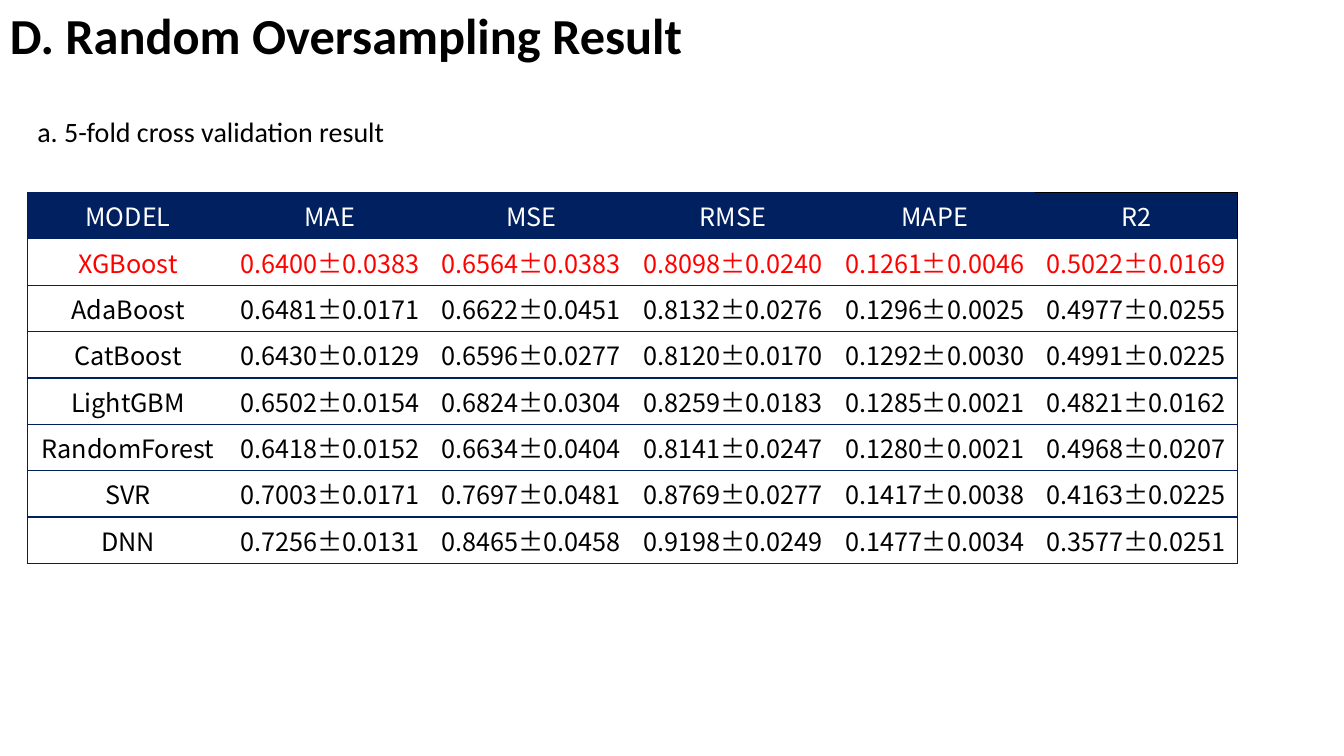
"""Builds the slide with the random oversampling results."""
import pptx
import pptx.dml.color
import pptx.enum.text
import pptx.oxml
import pptx.oxml.ns
import pptx.util

RGBColor = pptx.dml.color.RGBColor
BLACK = RGBColor(0x00, 0x00, 0x00)
WHITE = RGBColor(0xFF, 0xFF, 0xFF)
RED = RGBColor(0xFF, 0x00, 0x00)
NAVY = RGBColor(0x00, 0x20, 0x60)

EMU_PER_PX = 9144
SLIDE_SIZE = (1333, 750)
HEADING_BOX = (0, 0, 830, 75)
SUBTITLE_BOX = (27, 107, 1200, 51)
TABLE_BOX = (27, 191, 1200, 368)
PLAIN_STYLE = "{2D5ABB26-0587-4C30-8999-92F81FD0307C}"

HEADING_FORMAT = {"name": "Calibri", "size": pptx.util.Pt(36), "bold": True}
SUBTITLE_FORMAT = {"name": "Calibri", "size": pptx.util.Pt(20), "bold": False}
CELL_FORMAT = {"name": "Noto Sans CJK KR", "size": pptx.util.Pt(18), "bold": False}

SCORES = [
    ("MODEL", "MAE", "MSE", "RMSE", "MAPE", "R2"),
    ("XGBoost", "0.6400±0.0383", "0.6564±0.0383", "0.8098±0.0240", "0.1261±0.0046", "0.5022±0.0169"),
    ("AdaBoost", "0.6481±0.0171", "0.6622±0.0451", "0.8132±0.0276", "0.1296±0.0025", "0.4977±0.0255"),
    ("CatBoost", "0.6430±0.0129", "0.6596±0.0277", "0.8120±0.0170", "0.1292±0.0030", "0.4991±0.0225"),
    ("LightGBM", "0.6502±0.0154", "0.6824±0.0304", "0.8259±0.0183", "0.1285±0.0021", "0.4821±0.0162"),
    ("RandomForest", "0.6418±0.0152", "0.6634±0.0404", "0.8141±0.0247", "0.1280±0.0021", "0.4968±0.0207"),
    ("SVR", "0.7003±0.0171", "0.7697±0.0481", "0.8769±0.0277", "0.1417±0.0038", "0.4163±0.0225"),
    ("DNN", "0.7256±0.0131", "0.8465±0.0458", "0.9198±0.0249", "0.1477±0.0034", "0.3577±0.0251"),
]


def px(length):
    """Turn px into EMU."""
    return pptx.util.Emu(length * EMU_PER_PX)


def write(frame, wording, color, formats, align, line_spacing):
    """Write one formatted, vertically centred paragraph and return its run."""
    frame.vertical_anchor = pptx.enum.text.MSO_ANCHOR.MIDDLE
    paragraph = frame.paragraphs[0]
    paragraph.alignment = align
    paragraph.line_spacing = line_spacing
    run = paragraph.add_run()
    run.text = wording
    run.font.color.rgb = color
    for attribute, setting in formats.items():
        setattr(run.font, attribute, setting)
    return run


def add_heading(slide, box):
    """Place the section heading in the box."""
    heading = slide.shapes.add_textbox(*map(px, box)).text_frame
    heading.word_wrap = True
    write(heading, "D. Random Oversampling Result", BLACK, HEADING_FORMAT,
          pptx.enum.text.PP_ALIGN.LEFT, 0.9)


def add_subtitle(slide, box):
    """Move the title placeholder into the box and fill it."""
    subtitle = slide.shapes.title
    for attribute, length in zip(("left", "top", "width", "height"), box):
        setattr(subtitle, attribute, px(length))
    write(subtitle.text_frame, "a. 5-fold cross validation result", BLACK,
          SUBTITLE_FORMAT, pptx.enum.text.PP_ALIGN.LEFT, 0.9)


def draw_borders(cell, borders):
    """Draw 1 pt borders, given as colours by side in the order L, R, T, B."""
    properties = cell._tc.get_or_add_tcPr()
    for position, (side, color) in enumerate(borders.items()):
        properties.insert(position, pptx.oxml.parse_xml(
            f'<a:ln{side} {pptx.oxml.ns.nsdecls("a")} w="12700"><a:solidFill>'
            f'<a:srgbClr val="{color}"/></a:solidFill></a:ln{side}>'))


def border_colors(row, column, last_column):
    """Give the border colours of a cell by side."""
    header = row == 0
    edge = BLACK if header and column == last_column else NAVY
    borders = {}
    if column == 0:
        borders["L"] = NAVY
    if column == last_column:
        borders["R"] = edge
    if header or row > 1:
        borders["T"] = edge
    if not header:
        borders["B"] = NAVY
    return borders


def add_scores(slide, box):
    """Place the table of model scores in the box."""
    last_column = len(SCORES[0]) - 1
    table = slide.shapes.add_table(len(SCORES), last_column + 1, *map(px, box)).table
    table.horz_banding = False
    table._tbl.tblPr.find(pptx.oxml.ns.qn("a:tableStyleId")).text = PLAIN_STYLE
    for row, scores in enumerate(SCORES):
        color = {0: WHITE, 1: RED}.get(row, BLACK)
        for column, score in enumerate(scores):
            cell = table.cell(row, column)
            run = write(cell.text_frame, score, color, CELL_FORMAT,
                        pptx.enum.text.PP_ALIGN.CENTER, 1.0)
            run._r.get_or_add_rPr().append(pptx.oxml.parse_xml(
                f'<a:ea {pptx.oxml.ns.nsdecls("a")} typeface="{CELL_FORMAT["name"]}"/>'))
            cell.vertical_anchor = pptx.enum.text.MSO_ANCHOR.MIDDLE
            if row == 0:
                cell.fill.solid()
                cell.fill.fore_color.rgb = NAVY
            else:
                cell.fill.background()
            draw_borders(cell, border_colors(row, column, last_column))


def main():
    """Build and save the presentation."""
    deck = pptx.Presentation()
    deck.slide_width, deck.slide_height = map(px, SLIDE_SIZE)
    slide = deck.slides.add_slide(deck.slide_layouts[5])
    add_heading(slide, HEADING_BOX)
    add_subtitle(slide, SUBTITLE_BOX)
    add_scores(slide, TABLE_BOX)
    deck.save("out.pptx")


if __name__ == "__main__":
    main()
